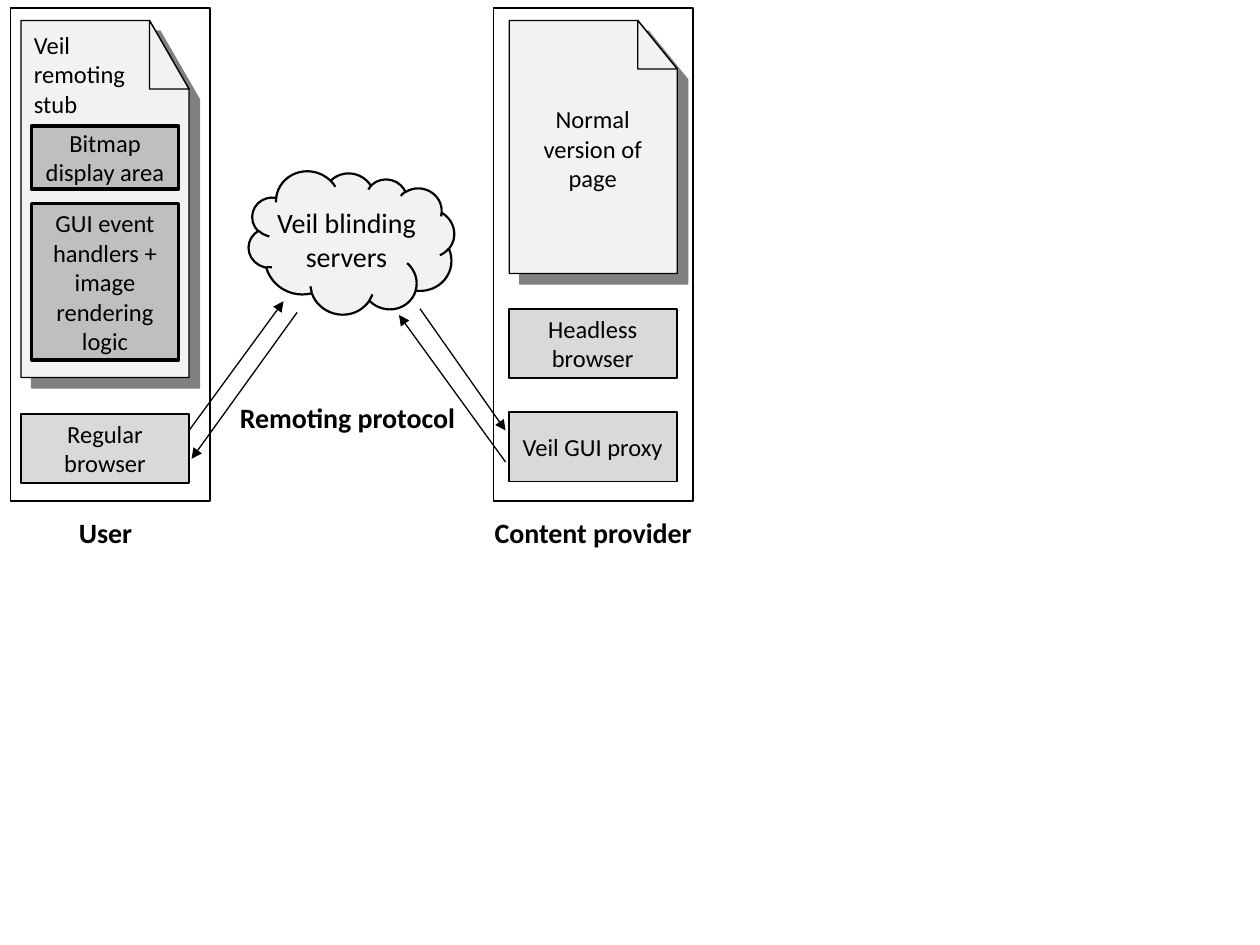
from dataclasses import dataclass
from typing import Optional

from lxml.etree import SubElement
from pptx import Presentation
from pptx.dml.color import RGBColor
from pptx.enum.shapes import MSO_CONNECTOR, MSO_SHAPE
from pptx.enum.text import MSO_ANCHOR, PP_ALIGN
from pptx.oxml.ns import qn
from pptx.util import Inches, Pt

CELL = Inches(1 / 12)
COLUMNS, ROWS = 120, 90
BLACK, PAPER, SILVER, GRAY, SHADE = "000000", "F2F2F2", "D9D9D9", "BFBFBF", "808080"
FOLD_WIDTH, FOLD_HEIGHT = 0.235, 0.192


@dataclass(frozen=True)
class Area:
    """A rectangle measured in columns and rows of the slide grid."""
    column: float
    row: float
    columns: float
    rows: float

    def lengths(self) -> tuple:
        """Return left, top, width and height as slide lengths."""
        return tuple(cells(n) for n in (self.column, self.row, self.columns, self.rows))


@dataclass(frozen=True)
class Block:
    """A filled or hollow preset shape, with or without a caption."""
    area: Area
    fill: Optional[str]
    weight: float
    text: str = ""
    preset: MSO_SHAPE = MSO_SHAPE.RECTANGLE
    rotation: float = 0


@dataclass(frozen=True)
class Label:
    """Free text, one paragraph for each line."""
    area: Area
    lines: tuple
    size: int = 14
    bold: bool = False
    align: PP_ALIGN = PP_ALIGN.CENTER


@dataclass(frozen=True)
class Arrow:
    """A straight arrow between two grid points."""
    start: tuple
    end: tuple


PAGES = (Area(2, 1.95, 16, 34), Area(48.5, 1.95, 16, 24.1))
PANELS = tuple(Block(Area(column, 0.75, 19, 47), None, 1) for column in (47, 1))
BLOCKS = (
    Block(Area(2, 39.4, 16, 6.6), SILVER, 1, "Regular browser"),
    Block(Area(23.65, 16.3, 19.55, 13.7), PAPER, 1.25, "", MSO_SHAPE.CLOUD, 15.4),
    Block(Area(48.45, 39.25, 16, 6.6), SILVER, 1, "Veil GUI proxy"),
    Block(Area(48.45, 29.4, 16, 6.6), SILVER, 1, "Headless browser"),
    Block(Area(3, 12, 14, 6), GRAY, 2, "Bitmap display area"),
    Block(Area(3, 19.4, 14, 14.9), GRAY, 2, "GUI event handlers + image rendering logic"),
)
LABELS = (
    Label(Area(2.05, 2.25, 12, 9.7), ("Veil remoting stub",), align=PP_ALIGN.LEFT),
    Label(Area(24.5, 19, 17, 7.7), ("Veil blinding", "servers"), 16),
    Label(Area(48.1, 9.35, 16.7, 9.7), ("Normal version of page",)),
    Label(Area(1.7, 48.5, 16.7, 4.4), ("User",), 16, True),
    Label(Area(44.75, 48.5, 23.5, 4.4), ("Content provider",), 16, True),
    Label(Area(21.35, 37.6, 23.5, 4.4), ("Remoting protocol",), 16, True),
)
ARROWS = (
    Arrow((18, 41), (27, 28.7)),
    Arrow((40, 29.4), (48.15, 41)),
    Arrow((48.15, 44), (38, 30)),
    Arrow((28.3, 29.75), (18.25, 43.7)),
)


def cells(count: float) -> int:
    """Turn grid cells into a slide length."""
    return round(count * CELL)


def color(value: str) -> RGBColor:
    """Turn a hex string into a colour."""
    return RGBColor.from_string(value)


def style(shape, fill: Optional[str], weight: float) -> None:
    """Set the fill and a black outline, without a shadow."""
    shape.shadow.inherit = False
    if fill:
        shape.fill.solid()
        shape.fill.fore_color.rgb = color(fill)
    else:
        shape.fill.background()
    shape.line.color.rgb = color(BLACK)
    shape.line.width = Pt(weight)


def write(frame, lines: tuple, size: int, bold: bool, align: PP_ALIGN) -> None:
    """Write wrapped black paragraphs into a text frame."""
    frame.word_wrap = True
    for index, line in enumerate(lines):
        para = frame.paragraphs[0] if index == 0 else frame.add_paragraph()
        para.text = line
        para.alignment = align
        para.font.name = "Calibri"
        para.font.size = Pt(size)
        para.font.bold = bold
        para.font.color.rgb = color(BLACK)


def draw_block(page, block: Block) -> None:
    """Draw a preset shape with its caption centred."""
    shape = page.shapes.add_shape(block.preset, *block.area.lengths())
    shape.rotation = block.rotation
    style(shape, block.fill, block.weight)
    if block.text:
        shape.text_frame.vertical_anchor = MSO_ANCHOR.MIDDLE
        write(shape.text_frame, (block.text,), 14, False, PP_ALIGN.CENTER)


def draw_label(page, label: Label) -> None:
    """Draw a text box."""
    box = page.shapes.add_textbox(*label.area.lengths())
    write(box.text_frame, label.lines, label.size, label.bold, label.align)


def draw_outline(page, points: list):
    """Draw a closed paper-coloured polygon through grid points."""
    corners = [(cells(column), cells(row)) for column, row in points]
    builder = page.shapes.build_freeform(*corners[0])
    builder.add_line_segments(corners[1:], close=True)
    shape = builder.convert_to_shape()
    style(shape, PAPER, 0.75)
    return shape


def add_shadow(shape) -> None:
    """Cast a solid grey shadow to the lower right."""
    effects = shape.element.spPr.find(qn("a:effectLst"))
    shadow = SubElement(effects, qn("a:outerShdw"), dist=str(Pt(8.5)),
                        dir=str(45 * 60000), algn="ctr", rotWithShape="0")
    SubElement(shadow, qn("a:srgbClr"), val=SHADE)


def draw_folded_page(page, area: Area) -> None:
    """Draw a sheet with its top right corner folded over."""
    right, bottom = area.column + area.columns, area.row + area.rows
    fold_left = right - FOLD_WIDTH * area.columns
    fold_bottom = area.row + FOLD_HEIGHT * area.rows
    crease = [(fold_left, area.row), (right, fold_bottom)]
    sheet = draw_outline(page, crease + [(right, bottom), (area.column, bottom),
                                         (area.column, area.row)])
    add_shadow(sheet)
    draw_outline(page, crease + [(fold_left, fold_bottom)])


def draw_arrow(page, arrow: Arrow) -> None:
    """Draw a thin line with a triangle at its end."""
    ends = [cells(n) for n in arrow.start + arrow.end]
    line = page.shapes.add_connector(MSO_CONNECTOR.STRAIGHT, *ends)
    line.line.color.rgb = color(BLACK)
    line.line.width = Pt(0.75)
    SubElement(line.line._get_or_add_ln(), qn("a:tailEnd"), type="triangle")
    SubElement(line._element.spPr, qn("a:effectLst"))


def main() -> None:
    """Build the remoting diagram and save it."""
    deck = Presentation()
    deck.slide_width, deck.slide_height = cells(COLUMNS), cells(ROWS)
    page = deck.slides.add_slide(deck.slide_layouts[6])
    for area in PAGES:
        draw_folded_page(page, area)
    for block in BLOCKS + PANELS:
        draw_block(page, block)
    for arrow in ARROWS:
        draw_arrow(page, arrow)
    for label in LABELS:
        draw_label(page, label)
    deck.save("out.pptx")


if __name__ == "__main__":
    main()
